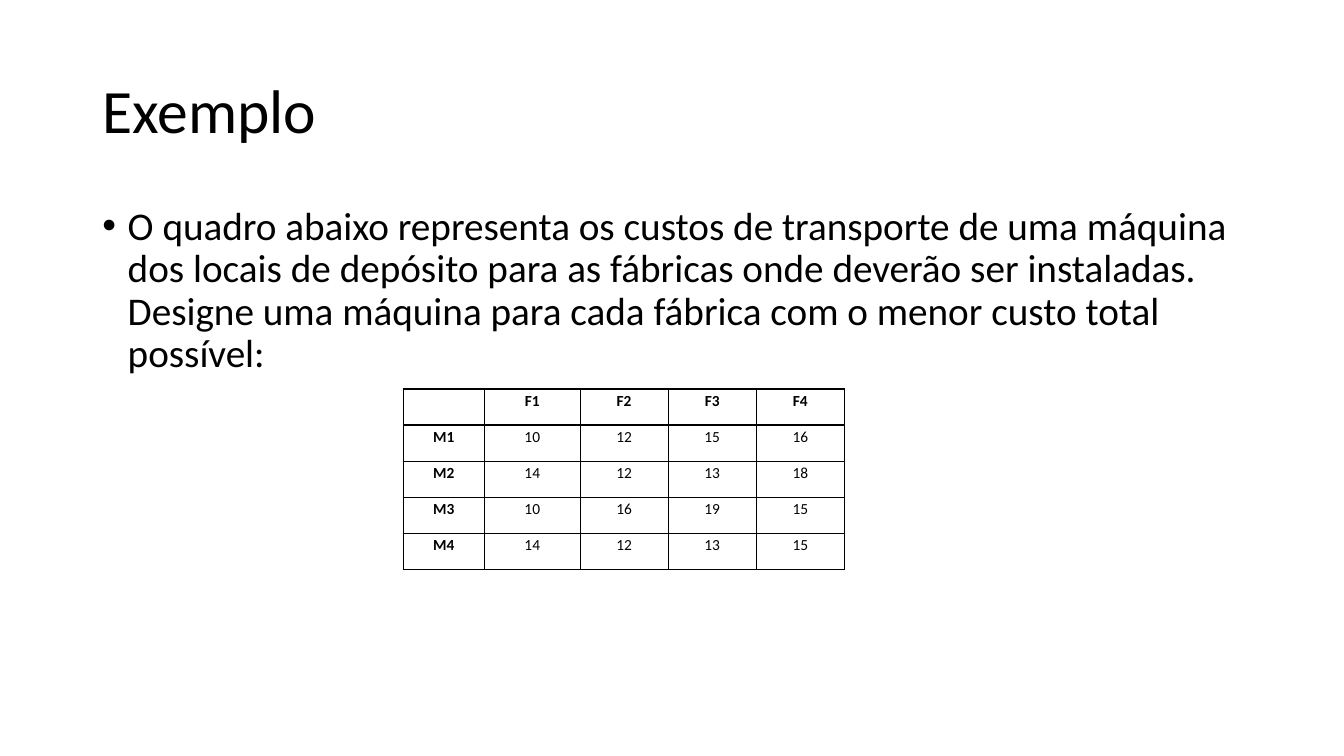
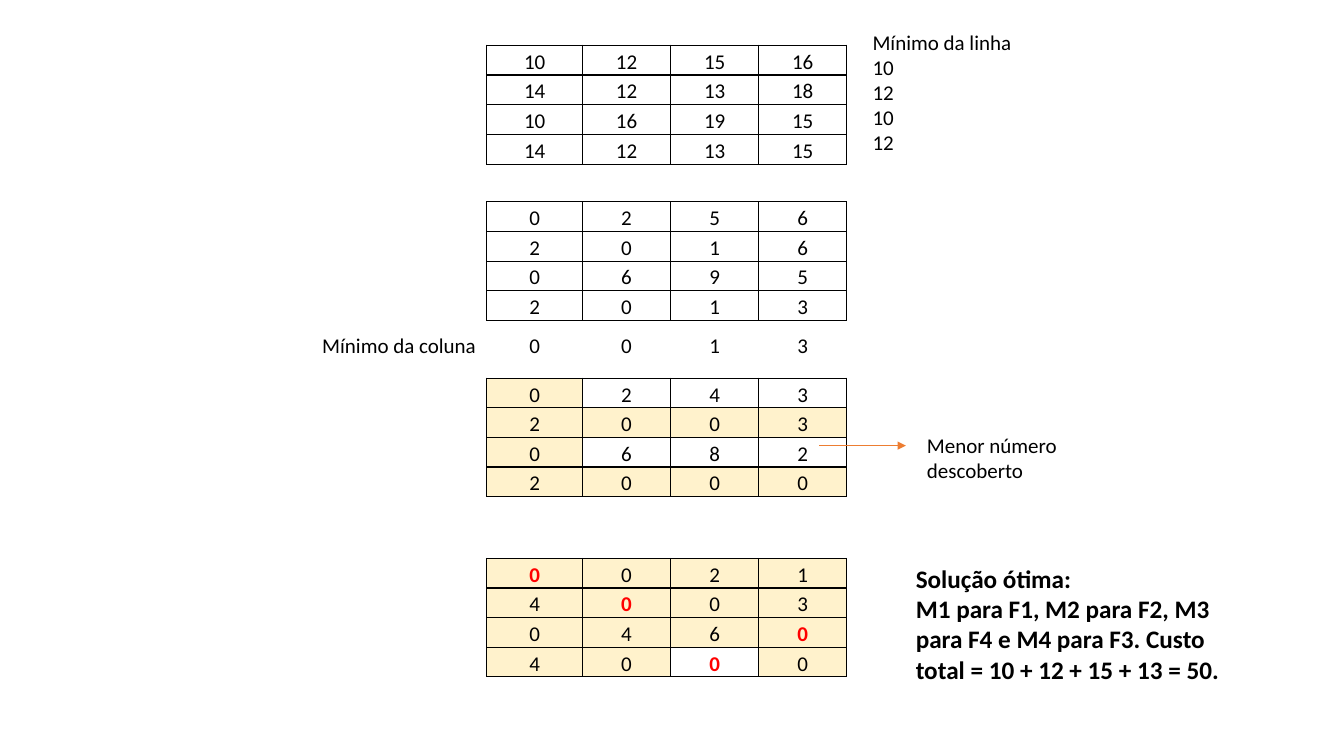
from itertools import product
from lxml.etree import SubElement as Sub
from pptx import Presentation
from pptx.dml.color import RGBColor as Rgb
from pptx.enum.shapes import MSO_CONNECTOR as Link
from pptx.enum.text import MSO_ANCHOR as Anchor, MSO_AUTO_SIZE as Auto, PP_ALIGN as Align
from pptx.oxml.ns import qn
from pptx.util import Cm, Pt

FONT = "Calibri"
BLACK, RED, CREAM, ORANGE = "000000", "FF0000", "FFF2CC", "ED7D31"
TITLE = {"size": 44, "spacing": 0.9}
BODY = {"size": 28, "spacing": 0.9}
NOTE = {"size": 15}
RESULT = {"size": 18, "bold": True}

COSTS = [[10, 12, 15, 16], [14, 12, 13, 18], [10, 16, 19, 15], [14, 12, 13, 15]]
WIDTHS = [2.41, 2.22, 2.22, 2.22]
LEFT = 12.27
INSET = 0.25


def paint(hue):
    return Rgb.from_string(hue)


def style(run, size, hue=BLACK, bold=False):
    looks = {"name": FONT, "size": Pt(size), "bold": bold}
    for key, value in looks.items():
        setattr(run.font, key, value)
    run.font.color.rgb = paint(hue)


def add_text(slide, box, lines, size, spacing=1.0, bold=False, anchor=Anchor.TOP):
    frame = slide.shapes.add_textbox(*map(Cm, box)).text_frame
    looks = {"word_wrap": True, "auto_size": Auto.NONE, "vertical_anchor": anchor}
    for key, value in looks.items():
        setattr(frame, key, value)
    for i, line in enumerate(lines):
        para = frame.add_paragraph() if i else frame.paragraphs[0]
        para.line_spacing = spacing
        run = para.add_run()
        run.text = line
        style(run, size, bold=bold)
    return frame.paragraphs[0]


def add_bullet(para):
    props = para._p.get_or_add_pPr()
    props.set("marL", str(Cm(0.64)))
    props.set("indent", str(Cm(-0.64)))
    Sub(props, qn("a:buFont"), typeface="Arial")
    Sub(props, qn("a:buChar"), char="•")


def add_tabs(para, stops):
    tabs = Sub(para._p.get_or_add_pPr(), qn("a:tabLst"))
    for stop in stops:
        Sub(tabs, qn("a:tab"), pos=str(Cm(stop)), algn="ctr")


def frame_cell(cell):
    """Draw a thin black border on all four sides."""
    props = cell._tc.get_or_add_tcPr()
    for side in ("lnL", "lnR", "lnT", "lnB"):
        line = Sub(props, qn("a:" + side), w=str(Pt(1)))
        Sub(Sub(line, qn("a:solidFill")), qn("a:srgbClr"), val=BLACK)


def add_grid(slide, left, top, widths, height, rows, size, bold=(), red=(), fill=()):
    """Add a table; bold, red and fill hold (row, column) places."""
    box = (left, top, sum(widths), height * len(rows))
    table = slide.shapes.add_table(len(rows), len(widths), *map(Cm, box)).table
    table.first_row = table.horz_banding = False
    for col, width in zip(table.columns, widths):
        col.width = Cm(width)
    for row in table.rows:
        row.height = Cm(height)
    margins = {"margin_left": 0.18, "margin_right": 0.18, "margin_top": 0, "margin_bottom": 0}
    for place in product(range(len(rows)), range(len(widths))):
        r, c = place
        cell = table.cell(r, c)
        for key, value in margins.items():
            setattr(cell, key, Cm(value))
        frame_cell(cell)
        if place in fill:
            cell.fill.solid()
            cell.fill.fore_color.rgb = paint(CREAM)
        else:
            cell.fill.background()
        para = cell.text_frame.paragraphs[0]
        para.alignment = Align.CENTER
        para.line_spacing = 1.15
        run = para.add_run()
        run.text = str(rows[r][c])
        style(run, size, RED if place in red else BLACK, place in bold or place in red)


def add_arrow(slide, start, end, y):
    arrow = slide.shapes.add_connector(Link.STRAIGHT, *map(Cm, (start, y, end, y)))
    arrow.line.color.rgb = paint(ORANGE)
    arrow.line.width = Pt(0.5)
    Sub(arrow.line._get_or_add_ln(), qn("a:tailEnd"), type="triangle")
    Sub(arrow._element.spPr, qn("a:effectLst"))


def add_task(slide):
    add_text(slide, (2.33, 1.01, 29.21, 3.68), ["Exemplo"], anchor=Anchor.MIDDLE, **TITLE)
    task = ("O quadro abaixo representa os custos de transporte de uma máquina dos locais "
            "de depósito para as fábricas onde deverão ser instaladas. Designe uma máquina "
            "para cada fábrica com o menor custo total possível:")
    add_bullet(add_text(slide, (2.33, 5.08, 29.21, 12.09), [task], **BODY))
    rows = [["", "F1", "F2", "F3", "F4"]]
    rows += [[f"M{i}", *row] for i, row in enumerate(COSTS, 1)]
    heads = {(r, c) for r, c in product(range(5), repeat=2) if 0 in (r, c)}
    add_grid(slide, 10.16, 9.8, [2.05, *WIDTHS], 0.91, rows, 11, bold=heads)


def add_steps(slide):
    """Show the steps of the Hungarian method, from costs to answer."""
    places = list(product(range(4), repeat=2))
    row_mins = [min(row) for row in COSTS]
    by_row = [[n - low for n in row] for row, low in zip(COSTS, row_mins)]
    col_mins = [min(col) for col in zip(*by_row)]
    by_col = [[n - low for n, low in zip(row, col_mins)] for row in by_row]
    hits = {(r, c): (r in (1, 3)) + (c == 0) for r, c in places}
    covered = {place for place in places if hits[place]}
    least = min(by_col[r][c] for r, c in places if not hits[r, c])
    final = [[n + least * (hits[r, c] - 1) if hits[r, c] != 1 else n
              for c, n in enumerate(row)] for r, row in enumerate(by_col)]
    chosen = {(0, 0), (1, 1), (2, 3), (3, 2)}

    steps = [
        (1.14, 0.75, COSTS, {}),
        (5.08, 0.75, by_row, {}),
        (9.53, 0.73, by_col, {"fill": covered}),
        (14.07, 0.73, final, {"red": chosen, "fill": set(places) - {(3, 2)}}),
    ]
    for top, height, rows, marks in steps:
        add_grid(slide, LEFT, top, WIDTHS, height, rows, 15, **marks)

    add_text(slide, (21.74, 0.61, 6.35, 3.45), ["Mínimo da linha", *map(str, row_mins)], **NOTE)
    left = 7.87
    line = "\t".join(["Mínimo da coluna", *map(str, col_mins)])
    para = add_text(slide, (left, 8.26, 14.45, 0.89), [line], **NOTE)
    add_tabs(para, [LEFT - left - INSET + sum(WIDTHS[:i]) + width / 2
                    for i, width in enumerate(WIDTHS)])
    add_arrow(slide, 20.65, 22.83, 11.23)
    add_text(slide, (23.11, 10.77, 5.21, 1.55), ["Menor número descoberto"], **NOTE)
    answer = ["Solução ótima:", "M1 para F1, M2 para F2, M3 para F4 e M4 para F3. "
              "Custo total = 10 + 12 + 15 + 13 = 50."]
    add_text(slide, (22.83, 14.07, 8.99, 3.33), answer, **RESULT)


def main():
    deck = Presentation()
    deck.slide_width, deck.slide_height = Cm(33.87), Cm(19.05)
    for build in (add_task, add_steps):
        build(deck.slides.add_slide(deck.slide_layouts[6]))
    deck.save("out.pptx")


if __name__ == "__main__":
    main()
